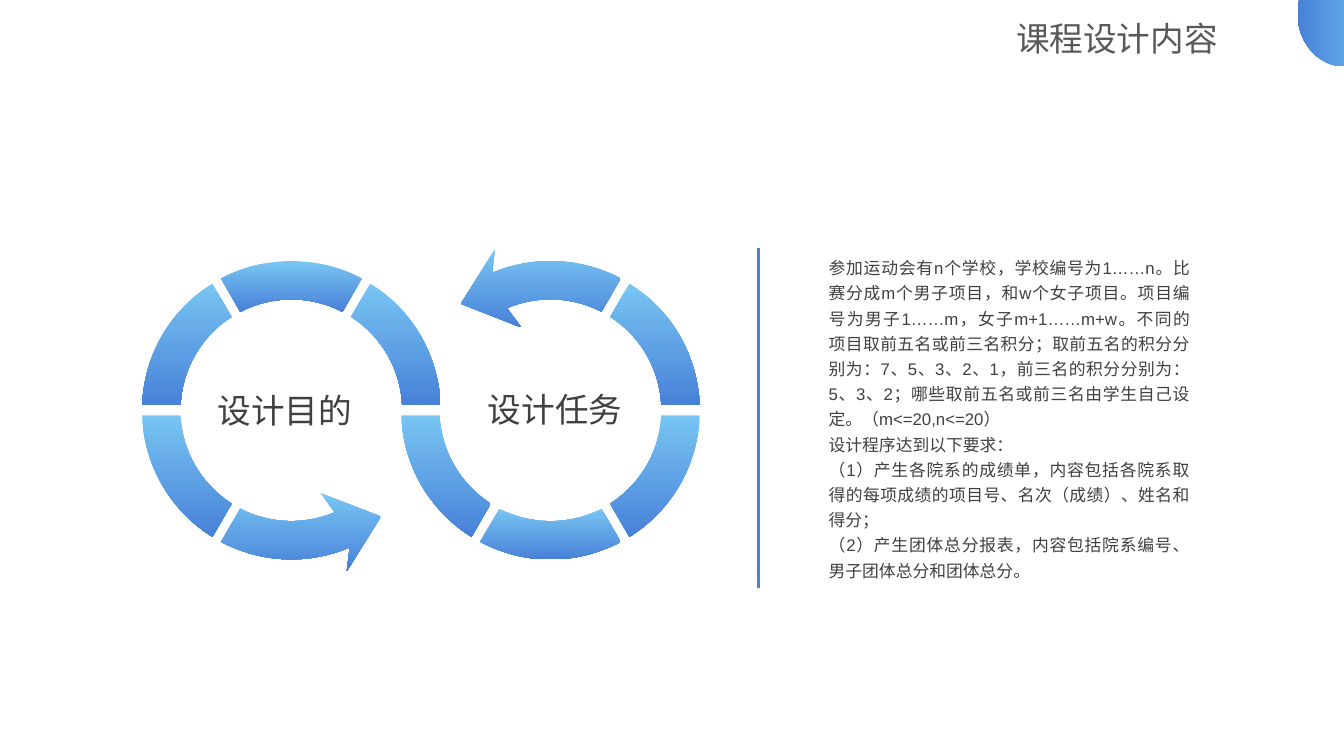
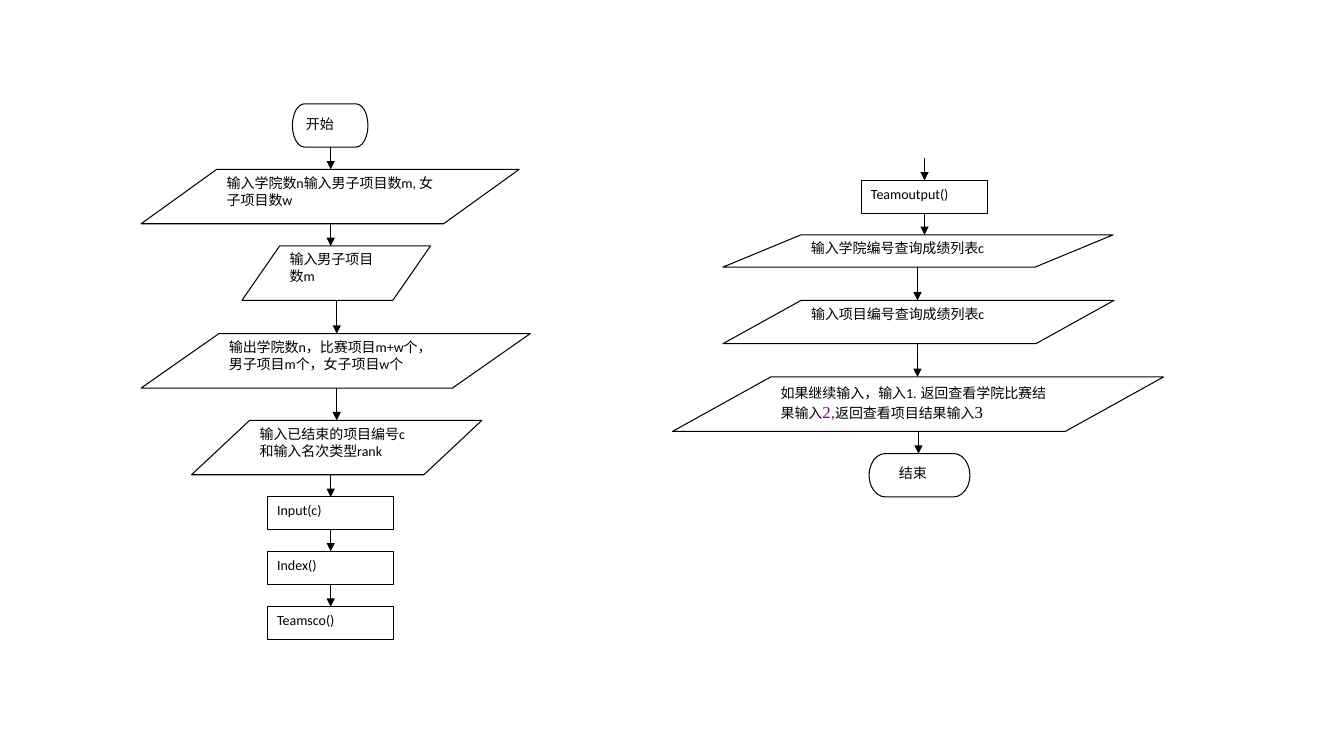
from math import asin, cos, degrees, radians, sin, tan

from lxml import etree
from pptx import Presentation
from pptx.dml.color import RGBColor
from pptx.enum.shapes import MSO_CONNECTOR, MSO_SHAPE
from pptx.enum.text import MSO_ANCHOR, PP_ALIGN
from pptx.oxml.ns import qn
from pptx.util import Inches, Pt

LEFT, CENTER, JUSTIFY = PP_ALIGN.LEFT, PP_ALIGN.CENTER, PP_ALIGN.JUSTIFY
TOP = MSO_ANCHOR.TOP
STRAIGHT = MSO_CONNECTOR.STRAIGHT
OVAL = MSO_SHAPE.OVAL
DATA = MSO_SHAPE.FLOWCHART_DATA
PROCESS = MSO_SHAPE.FLOWCHART_PROCESS
TERMINATOR = MSO_SHAPE.FLOWCHART_TERMINATOR

COLORS = {
    "sky": "78C5F3",
    "blue": "4881D8",
    "body": "404040",
    "title": "595959",
    "ink": "000000",
    "paper": "FFFFFF",
    "purple": "800080",
}

# Ring geometry: inches and clockwise degrees from the right
OUTER, INNER, HALF_GAP = 1.48, 1.1, 0.05
ARROW_HEAD = [(1.69, 4), (1.38, -17.1), (0.87, 3.6)]


def rgb(name):
    return RGBColor.from_string(COLORS[name])


def arc(radius, start, end, trim_end):
    """Start, middle and end of an arc, trimmed so the gaps stay parallel."""
    trim = degrees(asin(HALF_GAP / radius)) * (1 if end > start else -1)
    first, last = start + trim, end - trim * trim_end
    return [(radius, angle) for angle in (first, (first + last) / 2, last)]


def curve_handles(radius, start, end):
    """Offsets from the ring centre of the two handles of a circular curve."""
    reach = 4 / 3 * tan(radians(end - start) / 4)
    return [(radius * (cos(turn) - side * reach * sin(turn)),
             radius * (sin(turn) + side * reach * cos(turn)))
            for turn, side in ((radians(start), 1), (radians(end), -1))]


class Deck:
    def __init__(self):
        self.deck = Presentation()
        self.deck.slide_width = Inches(13.33)
        self.deck.slide_height = Inches(7.5)
        self.page = None

    def new_page(self):
        self.page = self.deck.slides.add_slide(self.deck.slide_layouts[6])

    def style_font(self, font, size, name, color):
        font.size = Pt(size)
        font.name = name
        font.color.rgb = rgb(color)

    def gradient(self, shape, angle):
        shape.shadow.inherit = False
        shape.line.fill.background()
        shape.fill.gradient()
        shape.fill.gradient_angle = angle
        for stop, color in zip(shape.fill.gradient_stops, ("sky", "blue")):
            stop.color.rgb = rgb(color)

    def text(self, left, top, width, height, paragraphs, size=24,
             color="body", align=CENTER, spacing=1.0):
        box = self.page.shapes.add_textbox(
            Inches(left), Inches(top), Inches(width), Inches(height))
        frame = box.text_frame
        frame.word_wrap = True
        for index, content in enumerate(paragraphs):
            para = frame.add_paragraph() if index else frame.paragraphs[0]
            para.text = content
            para.alignment = align
            para.line_spacing = spacing
            self.style_font(para.font, size, "Arial", color)

    def title(self, content):
        self.text(9.98, 0.13, 2.75, 0.5, [content], color="title",
                  align=JUSTIFY)
        corner = self.page.shapes.add_shape(
            OVAL, Inches(12.87), Inches(-0.39), Inches(0.93), Inches(1.05))
        self.gradient(corner, 180)

    def ring_part(self, center_x, center_y, start, end, arrow=False):
        outer = arc(OUTER, start, end, not arrow)
        inner = arc(INNER, start, end, not arrow)
        head = [(radius, end + turn) for radius, turn in ARROW_HEAD]
        outline = outer + (head if arrow else []) + inner[::-1]
        points = [(Inches(center_x + radius * cos(radians(angle))),
                   Inches(center_y + radius * sin(radians(angle))))
                  for radius, angle in outline]
        builder = self.page.shapes.build_freeform(*points[0])
        builder.add_line_segments(points[1:], close=True)
        shape = builder.convert_to_shape()
        # Neighbours at one radius are joined by a curve
        edges = list(shape._element.iter(qn("a:lnTo")))
        for edge, (radius, first), (next_radius, last) in zip(
                edges, outline, outline[1:]):
            if radius != next_radius:
                continue
            edge.tag = qn("a:cubicBezTo")
            handles = curve_handles(radius, first, last)
            for index, (x, y) in enumerate(handles):
                handle = etree.Element(
                    qn("a:pt"),
                    x=str(Inches(center_x + x) - shape.left),
                    y=str(Inches(center_y + y) - shape.top))
                edge.insert(index, handle)
        self.gradient(shape, 270)

    def line(self, x1, y1, x2, y2, color="ink", width=0.75, arrow=False):
        connector = self.page.shapes.add_connector(
            STRAIGHT, Inches(x1), Inches(y1), Inches(x2), Inches(y2))
        connector.line.color.rgb = rgb(color)
        connector.line.width = Pt(width)
        if arrow:
            etree.SubElement(connector.line._get_or_add_ln(),
                             qn("a:tailEnd"), type="triangle")
        etree.SubElement(connector._element.spPr, qn("a:effectLst"))

    def step(self, kind, left, top, width, height, runs, indent=0):
        shape = self.page.shapes.add_shape(
            kind, Inches(left), Inches(top), Inches(width), Inches(height))
        shape.shadow.inherit = False
        shape.fill.solid()
        shape.fill.fore_color.rgb = rgb("paper")
        shape.line.color.rgb = rgb("ink")
        shape.line.width = Pt(0.75)
        frame = shape.text_frame
        frame.word_wrap = True
        frame.vertical_anchor = TOP
        para = frame.paragraphs[0]
        para.alignment = LEFT
        if indent:
            para._p.get_or_add_pPr().set("indent", str(Inches(indent)))
        self.style_font(para.font, 10, "Calibri", "ink")
        if isinstance(runs, str):
            para.add_run().text = runs
            return
        for content, *style in runs:
            span = para.add_run()
            span.text = content
            self.style_font(span.font, *style)

    def flow(self, steps, entry=None):
        """Steps from top to bottom; each names the x of the arrow into it."""
        bottom = entry
        for arrow_x, kind, left, top, width, height, runs, *indent in steps:
            self.step(kind, left, top, width, height, runs, *indent)
            if bottom is not None:
                self.line(arrow_x, bottom, arrow_x, top, arrow=True)
            bottom = top + height


show = Deck()

# Slide 1: course content
show.new_page()
LEFT_RING, RIGHT_RING, RING_Y = 2.89, 5.46, 4.07
for start in (120, 180, 240, 300):
    show.ring_part(LEFT_RING, RING_Y, start, start + 60)
for start in (300, 0, 60, 120):
    show.ring_part(RIGHT_RING, RING_Y, start, start + 60)
show.ring_part(LEFT_RING, RING_Y, 120, 67, arrow=True)
show.ring_part(RIGHT_RING, RING_Y, 300, 247, arrow=True)
show.text(2, 3.82, 1.65, 0.5, ["设计目的"])
show.text(4.68, 3.81, 1.65, 0.5, ["设计任务"])
show.text(8.12, 2.46, 3.78, 3.36, [
    "参加运动会有n个学校，学校编号为1……n。比赛分成m个男子项目，和w个女子项目。"
    "项目编号为男子1……m，女子m+1……m+w。不同的项目取前五名或前三名积分；"
    "取前五名的积分分别为：7、5、3、2、1，前三名的积分分别为：5、3、2；"
    "哪些取前五名或前三名由学生自己设定。（m<=20,n<=20）",
    "设计程序达到以下要求：",
    "（1）产生各院系的成绩单，内容包括各院系取得的每项成绩的项目号、"
    "名次（成绩）、姓名和得分；",
    "（2）产生团体总分报表，内容包括院系编号、男子团体总分和团体总分。",
], size=12, align=JUSTIFY, spacing=1.25)
show.line(7.52, 2.46, 7.52, 5.83, color="blue", width=2.25)
show.title("课程设计内容")

# Slide 2: program flow chart
show.new_page()
show.flow([
    (None, TERMINATOR, 2.9, 1.03, 0.75, 0.43, "开始"),
    (3.28, DATA, 1.4, 1.68, 3.75, 0.54,
     "输入学院数n输入男子项目数m, 女子项目数w"),
    (3.28, DATA, 2.4, 2.44, 1.87, 0.54, "输入男子项目数m"),
    (3.34, DATA, 1.4, 3.31, 3.86, 0.54,
     "输出学院数n，比赛项目m+w个，男子项目m个，女子项目w个"),
    (3.34, DATA, 1.9, 4.17, 2.88, 0.54, "输入已结束的项目编号c 和输入名次类型rank"),
    (3.28, PROCESS, 2.65, 4.93, 1.25, 0.32, "Input(c)"),
    (3.28, PROCESS, 2.65, 5.47, 1.25, 0.33, "Index()"),
    (3.28, PROCESS, 2.65, 6.02, 1.25, 0.32, "Teamsco()"),
])

small = (10, "Calibri", "ink")
choices = [
    ("如果继续输入，输入1.", *small),
    (" ", 12, "Calibri", "purple"),
    ("返回查看学院比赛结果输入", *small),
    ("2", 12, "Times New Roman", "purple"),
    (",", 12, "Calibri", "purple"),
    ("返回查看项目结果输入", *small),
    ("3", 12, "Times New Roman", "ink"),
]
show.flow([
    (9.17, PROCESS, 8.54, 1.79, 1.25, 0.33, "Teamoutput()"),
    (9.17, DATA, 7.17, 2.33, 3.87, 0.32, "输入学院编号查询成绩列表c"),
    (9.1, DATA, 7.17, 2.98, 3.88, 0.43, "输入项目编号查询成绩列表c"),
    (9.1, DATA, 6.67, 3.74, 4.87, 0.54, choices),
    (9.11, TERMINATOR, 8.62, 4.5, 1, 0.43, "结束", 0.15),
], entry=1.57)

show.deck.save("out.pptx")
